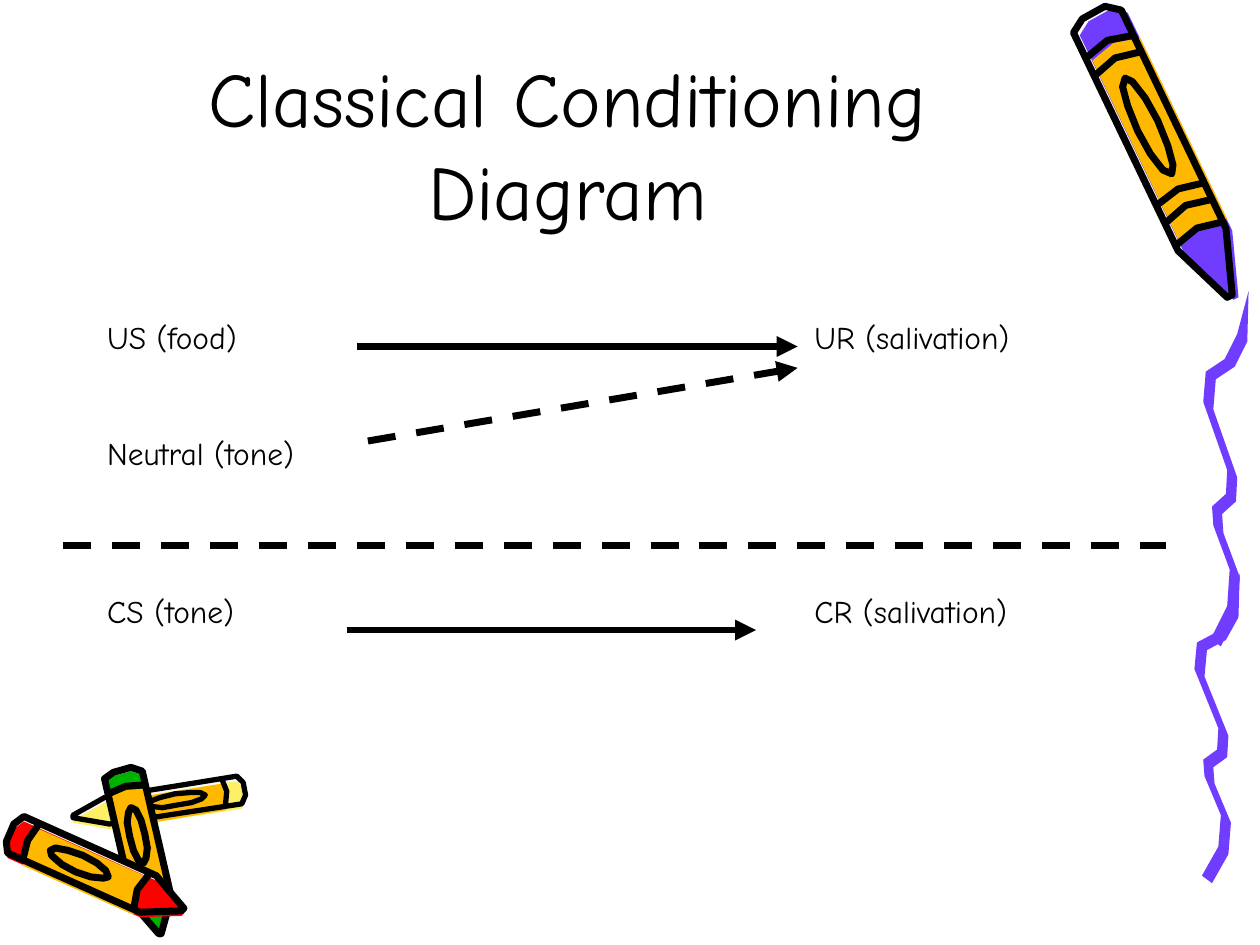
from math import cos, hypot, pi, sin

from lxml.etree import SubElement
from pptx import Presentation
from pptx.dml.color import RGBColor
from pptx.enum.dml import MSO_LINE
from pptx.enum.shapes import MSO_CONNECTOR
from pptx.enum.text import MSO_ANCHOR, PP_ALIGN
from pptx.oxml.ns import qn
from pptx.util import Pt

PX = 9144  # EMU per px, 100 px to the inch
FONT = "Comic Neue"
COLOURS = {
    "black": "000000", "white": "F8F8F8", "purple": "703DFF", "orange": "FFB800",
    "yellow": "FFEF66", "red": "FF0000", "green": "00B200",
}

TITLE = "Classical Conditioning Diagram"
TITLE_BOX = (75, 17, 751, 175)
TABLE_BOX = (75, 250, 842, 275)
ROWS = [
    ("US (food)", "", "UR (salivation)"),
    ("Neutral (tone)", "", ""),
    ("CS (tone)", "", "CR (salivation)"),
]
CELL_MARGIN_TOP = [5, 5, 39]  # the last row starts one line lower

LINE_WIDTH = 4
DIAGRAM_LINES = [
    {"start": (283, 275), "end": (633, 275), "dashed": False, "arrow": True},
    {"start": (275, 500), "end": (600, 500), "dashed": False, "arrow": True},
    {"start": (292, 350), "end": (633, 292), "dashed": True, "arrow": True},
    {"start": (50, 433), "end": (925, 433), "dashed": True, "arrow": False},
]

# Crayon parts: (along, across), 0 to 1 from base to tip, -1 to 1 from side to side
SILHOUETTE = [(0.03, -1), (0, -0.5), (0, 0.5), (0.03, 1),
              (0.8, 1), (1, 0.1), (1, -0.1), (0.8, -1)]
WRAPPER = [(0.12, -1), (0.1, 0), (0.12, 1), (0.76, 1), (0.74, 0), (0.76, -1)]
OVAL_CENTRE, OVAL_LENGTH, OVAL_WIDTH, OVAL_CORNERS = 0.4, 0.17, 0.42, 12
BAND_BOW = 0.02

# From back to front. The colour is printed a little off its outline by "slip".
PILE_BANDS = (0.12, 0.76)
CRAYONS = [
    {"wax": "purple", "base": (868, 10), "tip": (976, 235), "half_width": 21,
     "slip": (5, 2), "pen": 4, "bands": (0.12, 0.18, 0.64, 0.7, 0.78)},
    {"wax": "yellow", "base": (194, 626), "tip": (58, 648), "half_width": 11,
     "slip": (0, 4), "pen": 3, "bands": PILE_BANDS},
    {"wax": "green", "base": (97, 611), "tip": (127, 741), "half_width": 15,
     "slip": (0, 3), "pen": 4, "bands": PILE_BANDS},
    {"wax": "red", "base": (8, 661), "tip": (145, 722), "half_width": 16,
     "slip": (0, 4), "pen": 4, "bands": PILE_BANDS},
]

# The squiggle follows these points with a slanted nib
SQUIGGLE = [(991, 231), (986, 268), (976, 288), (961, 298), (959, 322), (978, 376),
            (977, 395), (966, 405), (967, 420), (980, 455), (978, 484), (965, 510)]
NIB = (4, 3)
LOWER_SQUIGGLE = {"shift": -7, "top": 455, "stretch": 0.87}


def colour(name):
    return RGBColor.from_string(COLOURS[name])


def emu(lengths):
    return [length * PX for length in lengths]


def add_outline(slide, points, fill=None, pen=0, close=True):
    builder = slide.shapes.build_freeform(*points[0], scale=PX)
    builder.add_line_segments(points[1:], close=close)
    shape = builder.convert_to_shape()
    shape.shadow.inherit = False
    if fill:
        shape.fill.solid()
        shape.fill.fore_color.rgb = colour(fill)
    else:
        shape.fill.background()
    if pen:
        shape.line.width = Pt(pen)
        shape.line.color.rgb = colour("black")
    else:
        shape.line.fill.background()


def add_crayon(slide, wax, base, tip, half_width, slip, pen, bands):
    axis_x, axis_y = tip[0] - base[0], tip[1] - base[1]
    side = half_width / hypot(axis_x, axis_y)

    def place(part, shift=(0, 0)):
        """Turn (along, across) pairs into px on the slide."""
        return [(round(base[0] + along * axis_x - across * side * axis_y + shift[0]),
                 round(base[1] + along * axis_y + across * side * axis_x + shift[1]))
                for along, across in part]

    angles = [2 * pi * corner / OVAL_CORNERS for corner in range(OVAL_CORNERS)]
    oval = [(OVAL_CENTRE + OVAL_LENGTH * cos(angle), OVAL_WIDTH * sin(angle))
            for angle in angles]

    add_outline(slide, place(SILHOUETTE), fill="white")
    add_outline(slide, place(SILHOUETTE, slip), fill=wax)
    add_outline(slide, place(WRAPPER, slip), fill="orange")
    add_outline(slide, place(SILHOUETTE), pen=pen)
    add_outline(slide, place(oval), pen=pen)
    for band in bands:
        bow = [(band, -1), (band - BAND_BOW, 0), (band, 1)]
        add_outline(slide, place(bow), pen=pen, close=False)


def add_squiggle(slide, path):
    """Draw a ribbon that starts as a point and widens to the nib."""
    right = [(x + NIB[0], y + NIB[1]) for x, y in path[1:]]
    left = [(x - NIB[0], y - NIB[1]) for x, y in path[1:]]
    add_outline(slide, [path[0]] + right + left[::-1], fill="purple")


def add_squiggles(slide):
    top = SQUIGGLE[0][1]
    lower = [(x + LOWER_SQUIGGLE["shift"],
              round(LOWER_SQUIGGLE["top"] + (y - top) * LOWER_SQUIGGLE["stretch"]))
             for x, y in SQUIGGLE]
    for path in (lower, SQUIGGLE):
        add_squiggle(slide, path)


def add_line(slide, start, end, dashed, arrow):
    connector = slide.shapes.add_connector(MSO_CONNECTOR.STRAIGHT, *emu(start + end))
    connector.line.width = Pt(LINE_WIDTH)
    connector.line.color.rgb = colour("black")
    if dashed:
        connector.line.dash_style = MSO_LINE.DASH
    properties = connector._element.spPr
    if arrow:
        SubElement(properties.find(qn("a:ln")), qn("a:tailEnd"), type="triangle")
    SubElement(properties, qn("a:effectLst"))


def write(text_frame, text, size):
    text_frame.text = text
    paragraph = text_frame.paragraphs[0]
    paragraph.font.size = Pt(size)
    for run in paragraph.runs:
        run.font.name = FONT
        run.font.size = Pt(size)
        run.font.color.rgb = colour("black")
    return paragraph


def add_title(slide):
    text_frame = slide.shapes.add_textbox(*emu(TITLE_BOX)).text_frame
    text_frame.word_wrap = True
    text_frame.vertical_anchor = MSO_ANCHOR.BOTTOM
    write(text_frame, TITLE, 44).alignment = PP_ALIGN.CENTER


def add_stimulus_table(slide):
    table = slide.shapes.add_table(len(ROWS), len(ROWS[0]), *emu(TABLE_BOX)).table
    table.first_row = False
    table.horz_banding = False
    for row, (texts, margin) in enumerate(zip(ROWS, CELL_MARGIN_TOP)):
        for column, text in enumerate(texts):
            cell = table.cell(row, column)
            cell.fill.background()
            cell.margin_top = margin * PX
            write(cell.text_frame, text, 18)


def main():
    presentation = Presentation()
    presentation.slide_width, presentation.slide_height = emu((1000, 750))
    slide = presentation.slides.add_slide(presentation.slide_layouts[6])
    for crayon in CRAYONS:
        add_crayon(slide, **crayon)
    add_squiggles(slide)
    add_title(slide)
    add_stimulus_table(slide)
    for line in DIAGRAM_LINES:
        add_line(slide, **line)
    presentation.save("out.pptx")


if __name__ == "__main__":
    main()
